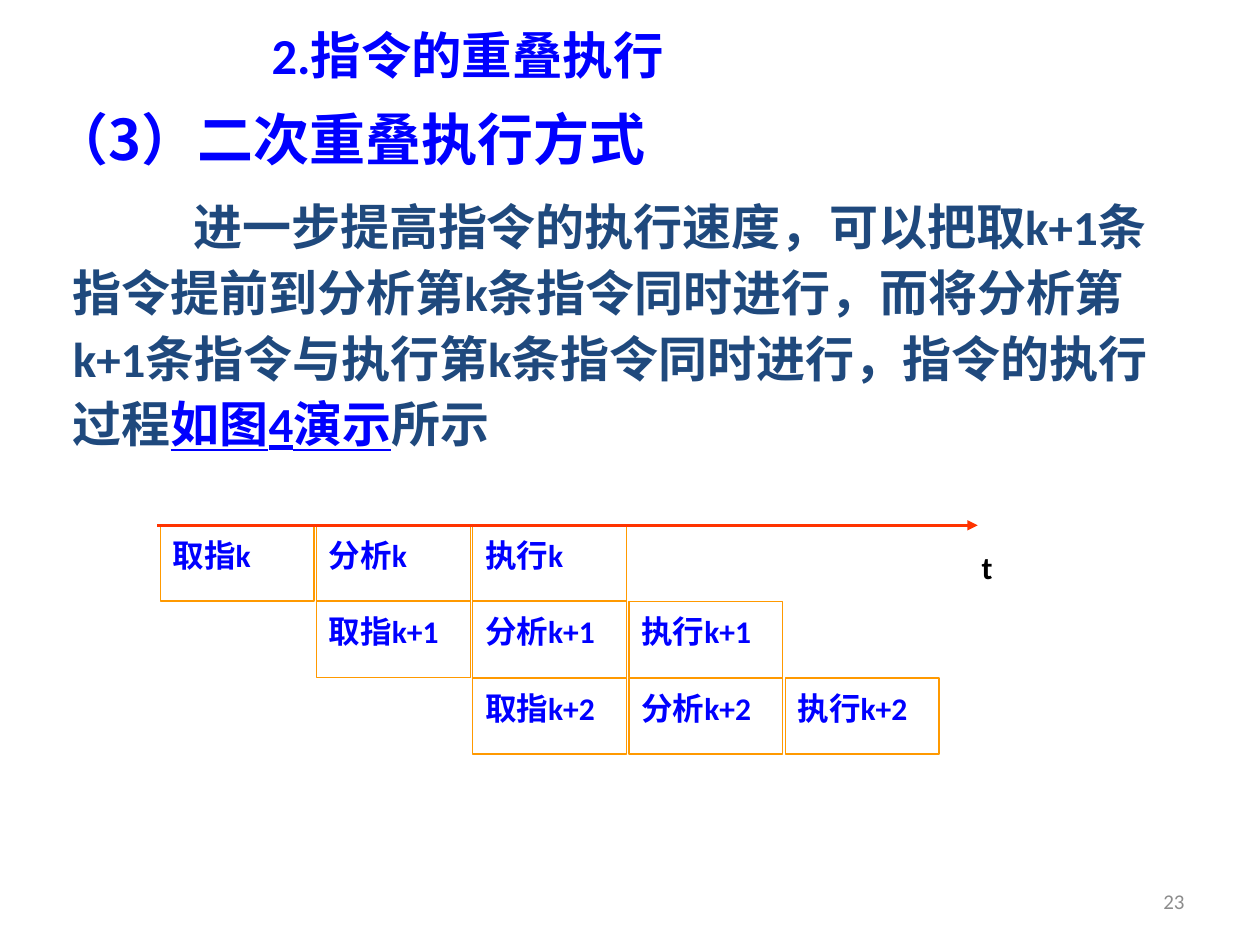
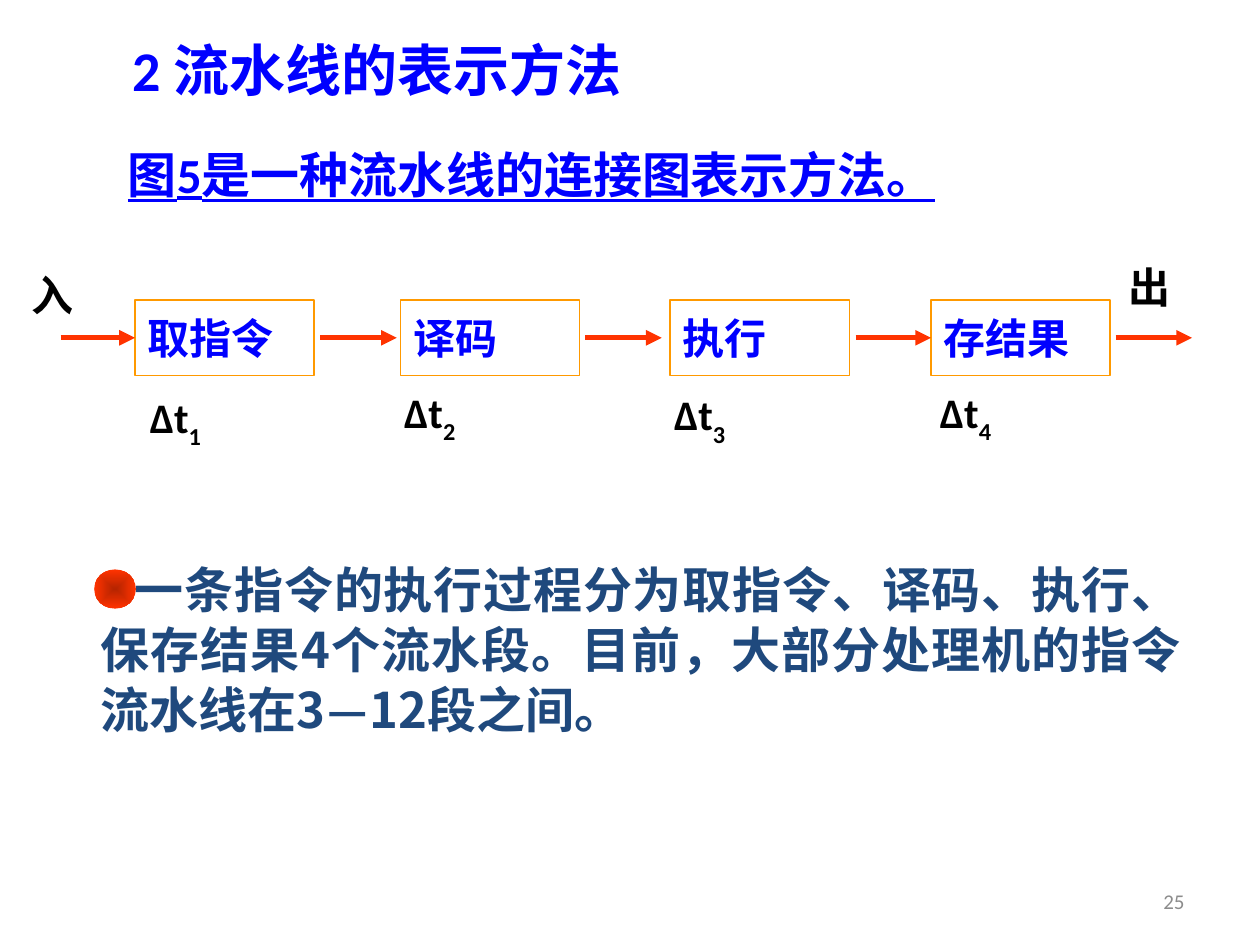
from pptx import Presentation
from pptx.dml.color import RGBColor
from pptx.enum.shapes import MSO_CONNECTOR, MSO_SHAPE
from pptx.enum.text import MSO_ANCHOR, MSO_AUTO_SIZE, PP_ALIGN
from pptx.oxml import parse_xml
from pptx.oxml.ns import nsdecls
from pptx.util import Cm, Pt

RECT, OVAL = MSO_SHAPE.RECTANGLE, MSO_SHAPE.OVAL
STRAIGHT = MSO_CONNECTOR.STRAIGHT
TOP, MIDDLE = MSO_ANCHOR.TOP, MSO_ANCHOR.MIDDLE
LEFT, CENTER, RIGHT, JUST = (PP_ALIGN.LEFT, PP_ALIGN.CENTER,
                             PP_ALIGN.RIGHT, PP_ALIGN.JUSTIFY)
NO_FIT = MSO_AUTO_SIZE.NONE
LATIN, HAN = "Calibri", "Noto Sans CJK SC"
COLORS = {"blue": "0000FF", "navy": "1F497D", "black": "000000",
          "gray": "8C8C8C", "orange": "FF9900", "red": "FF3300",
          "dark": "B62400"}
TIGHT, LOOSE = 1.22, 1.34  # line height as a multiple of the text size


def rgb(name):
    return RGBColor.from_string(COLORS[name])


def add_run(para, text, color, base=0, **font):
    """Add text; base is the baseline shift in percent."""
    run = para.add_run()
    run.text = text
    for key, value in {"name": LATIN, "bold": True, **font}.items():
        setattr(run.font, key, value)
    run.font.color.rgb = rgb(color)
    props = run._r.get_or_add_rPr()
    props.append(parse_xml(f'<a:ea {nsdecls("a")} typeface="{HAN}"/>'))
    if base:
        props.set("baseline", str(base * 1000))


def write(shape, runs, size, color, align=LEFT, anchor=TOP, lead=TIGHT,
          indent=0, inset=0.25):
    """Fill a shape with one paragraph of (text, format) runs."""
    frame = shape.text_frame
    layout = {"word_wrap": True, "auto_size": NO_FIT,
              "vertical_anchor": anchor,
              "margin_left": Cm(inset), "margin_right": Cm(inset),
              "margin_top": Cm(0.13), "margin_bottom": Cm(0.13)}
    for key, value in layout.items():
        setattr(frame, key, value)
    para = frame.paragraphs[0]
    para.alignment = align
    para.line_spacing = Pt(round(size * lead, 1))
    para.space_before = Pt(0)
    if indent:
        para._p.get_or_add_pPr().set("indent", str(Cm(indent)))
    for text, extra in runs:
        add_run(para, text, **{"color": color, "size": Pt(size), **extra})


def add_text(slide, spot, runs, size, color, **style):
    box = slide.shapes.add_textbox(*map(Cm, spot))
    write(box, runs, size, color, **style)


def add_cell(slide, spot, text, size):
    """Add an outlined stage box."""
    cell = slide.shapes.add_shape(RECT, *map(Cm, spot))
    cell.shadow.inherit = False
    cell.fill.background()
    cell.line.color.rgb = rgb("orange")
    cell.line.width = Pt(0.75)
    write(cell, [(text, {})], size, "blue", lead=LOOSE)
    return cell


def add_arrow(slide, left, right, level, width, goal=None):
    """Add a level arrow, joined to the left side of goal if given."""
    arrow = slide.shapes.add_connector(
        STRAIGHT, Cm(left), Cm(level), Cm(right), Cm(level))
    if goal is not None:
        arrow.end_connect(goal, 1)
    arrow.line.color.rgb = rgb("red")
    arrow.line.width = Pt(width)
    arrow.line._get_or_add_ln().append(
        parse_xml(f'<a:tailEnd {nsdecls("a")} type="triangle"/>'))
    arrow._element.spPr.append(parse_xml(f'<a:effectLst {nsdecls("a")}/>'))


def add_ball(slide, spot):
    """Add the round bullet with a dark centre."""
    ball = slide.shapes.add_shape(OVAL, *map(Cm, spot))
    ball.shadow.inherit = False
    ball.line.fill.background()
    ball.fill.gradient()
    for stop, color in zip(ball.fill.gradient_stops, ("dark", "red")):
        stop.color.rgb = rgb(color)
    grad = ball._element.spPr.find(".//{*}gradFill")
    grad.replace(grad.find("{*}lin"), parse_xml(
        f'<a:path {nsdecls("a")} path="shape"><a:fillToRect l="50000" '
        't="50000" r="50000" b="50000"/></a:path>'))


def add_page(deck, number, spot, runs, size):
    """Add a slide with its title and page number."""
    slide = deck.slides.add_slide(deck.slide_layouts[5])
    title = slide.shapes.title
    for key, value in zip(("left", "top", "width", "height"), spot):
        setattr(title, key, Cm(value))
    write(title, runs, size, "blue", align=CENTER, anchor=MIDDLE)
    add_text(slide, (18.2, 17.65, 5.93, 1.02),
             [(str(number), {"bold": False})], 12, "gray",
             align=RIGHT, anchor=MIDDLE)
    return slide


def add_overlap(deck):
    slide = add_page(deck, 23, (0.89, 0.58, 17.07, 1.02),
                     [("2.指令的重叠执行", {})], 28.8)
    add_text(slide, (0.81, 1.95, 17.04, 1.52),
             [("（3）二次重叠执行方式", {"name": HAN})], 32, "blue")
    add_text(slide, (1.22, 3.7, 22.56, 5.87), [
        ("进一步提高指令的执行速度，可以把取k+1条指令提前到分析第k条指令"
         "同时进行，而将分析第k+1条指令与执行第k条指令同时进行，"
         "指令的执行过程", {}),
        ("如图4演示", {"color": "blue", "underline": True}),
        ("所示", {})], 28, "navy", lead=LOOSE, indent=2.43)

    left, top = 3.23, 10.59
    for row, order in enumerate(("k", "k+1", "k+2")):
        for step, name in enumerate(("取指", "分析", "执行")):
            spot = (left + 3.15 * (row + step), top + 1.54 * row, 3.1, 1.53)
            add_cell(slide, spot, name + order, 18)
    add_arrow(slide, 3.17, 19.71, top, 1.5)
    add_text(slide, (19.79, 10.9, 1.14, 1.09), [("t", {})], 18, "black",
             inset=0)


def add_pipeline(deck):
    slide = add_page(deck, 25, (0.74, 0.53, 13.72, 1.7),
                     [("2 流水线的表示方法", {})], 32)
    add_text(slide, (1.73, 2.64, 22.07, 1.57),
             [("图5是一种流水线的连接图表示方法。", {"underline": True})],
             28, "blue", align=JUST, lead=LOOSE, indent=0.6)
    add_text(slide, (1.78, 11.13, 22.28, 4.29), [
        ("一条指令的执行过程分为取指令、译码、执行、保存结果4个流水段。"
         "目前，大部分处理机的指令流水线在3", {"name": HAN}),
        ("—", {}), ("12段之间。", {"name": HAN})],
        28, "navy", align=JUST, indent=0.69)
    add_ball(slide, (1.9, 11.48, 0.84, 0.79))

    stages = (("取指令", 2.72, 3.02, 7.92), ("译码", 8.08, 8.15, 7.82),
              ("执行", 13.51, 13.59, 7.87), ("存结果", 18.77, 18.95, 7.82))
    cells = []
    for index, (name, left, mark, level) in enumerate(stages, 1):
        cells.append(add_cell(slide, (left, 6.05, 3.61, 1.52), name, 24))
        add_text(slide, (mark, level, 3.71, 1.27),
                 [("∆t", {}), (str(index), {"base": -30})], 24, "black",
                 inset=0)
    goals = (cells[0], None, None, cells[3], None)
    for start, goal in zip((1.22, 6.46, 11.8, 17.25, 22.49), goals):
        add_arrow(slide, start, start + 1.54, 6.81, 3, goal)
    for name, left, top in (("入", 0.64, 5.28), ("出", 22.76, 5.13)):
        add_text(slide, (left, top, 1.27, 1.27), [(name, {})], 24, "black",
                 inset=0)


def main():
    deck = Presentation()
    deck.slide_width, deck.slide_height = Cm(25.4), Cm(19.05)
    add_overlap(deck)
    add_pipeline(deck)
    deck.save("out.pptx")


if __name__ == "__main__":
    main()
